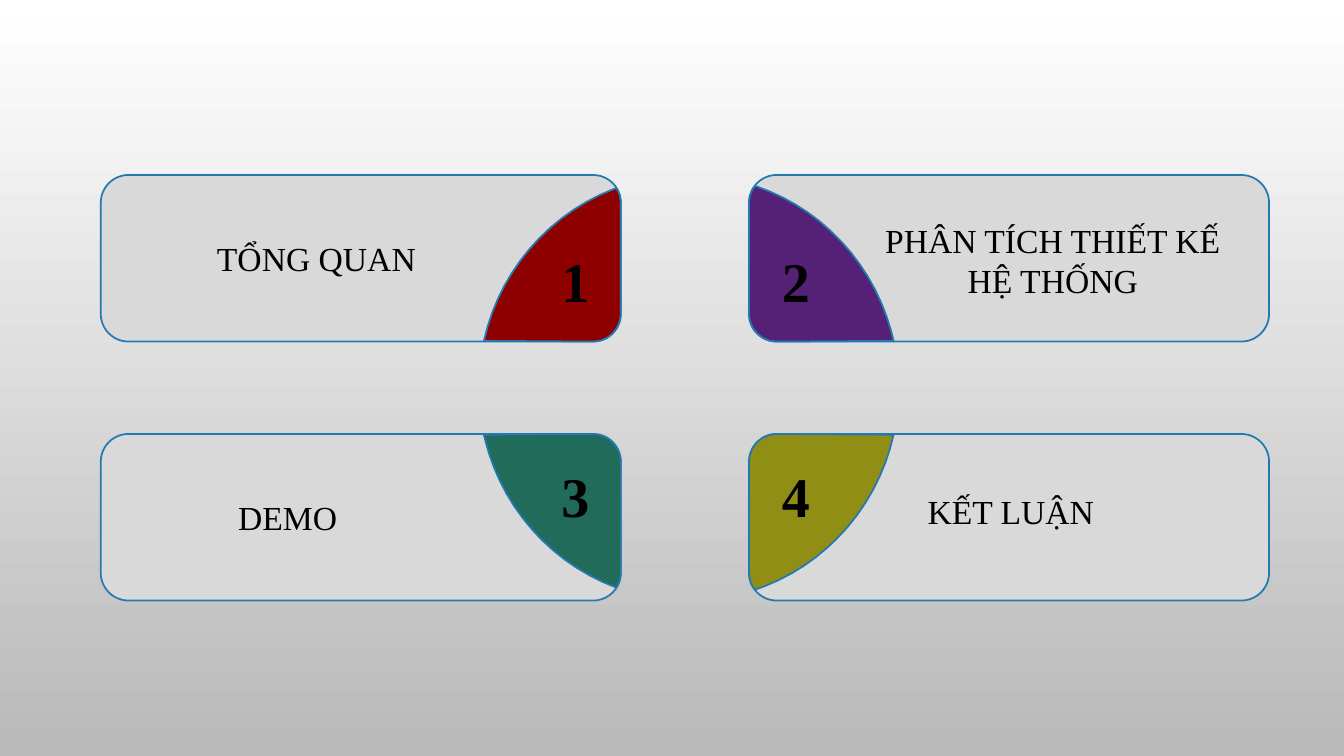
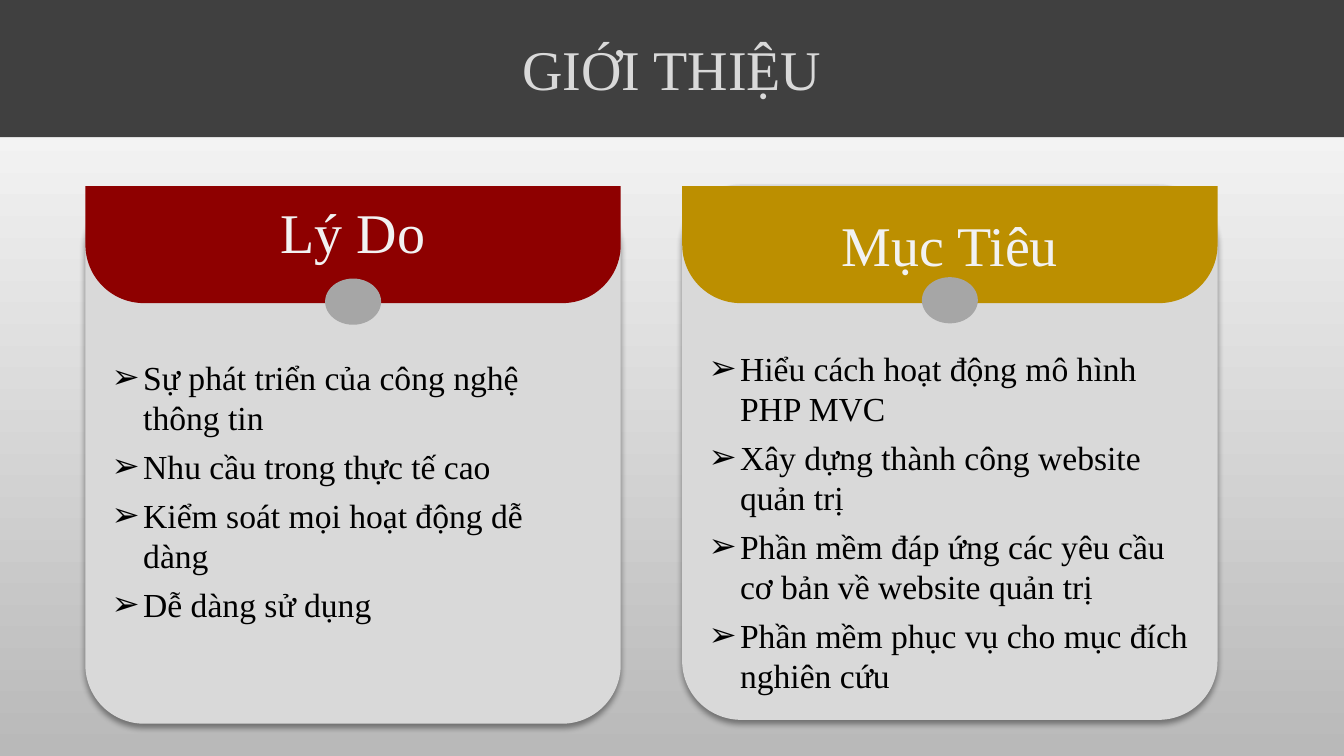
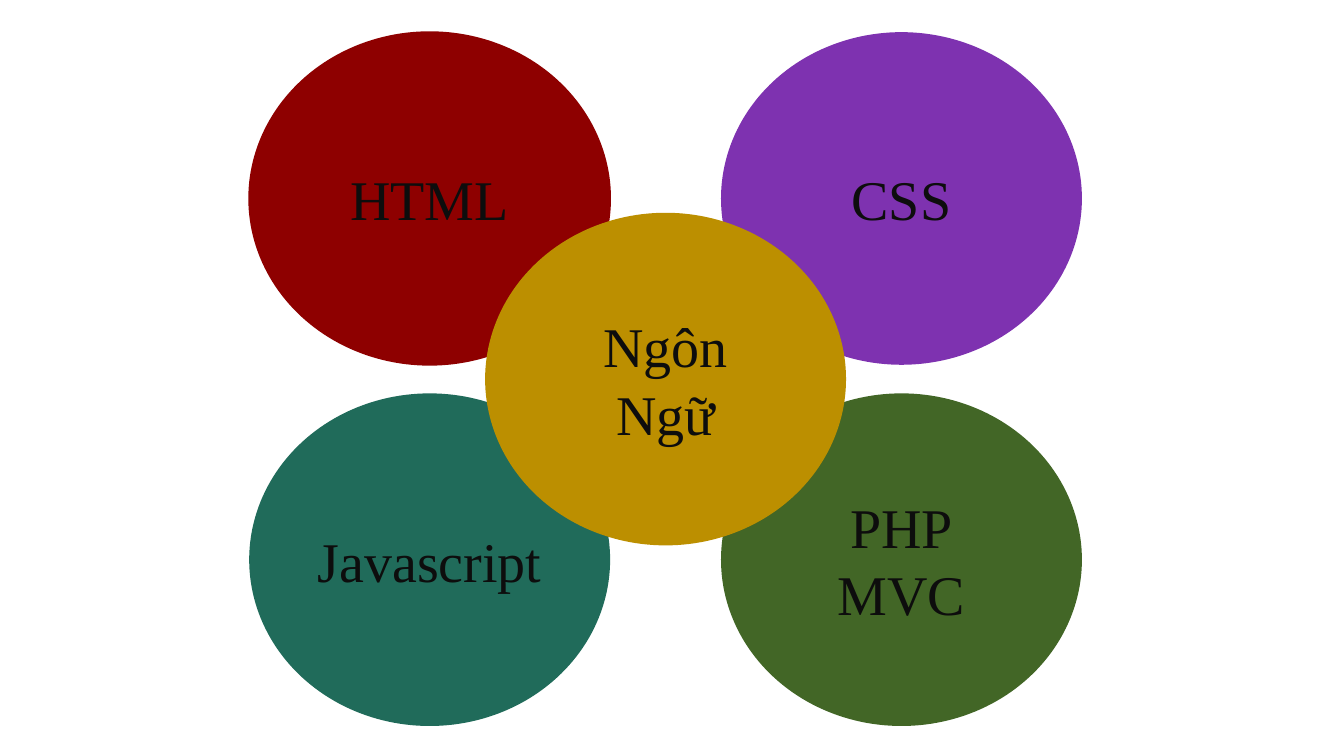
from collections.abc import Iterable
from dataclasses import dataclass
from math import atan2, cos, hypot, radians, sin

from lxml.etree import SubElement
from pptx import Presentation
from pptx.dml.color import RGBColor
from pptx.enum.shapes import MSO_SHAPE as Preset
from pptx.enum.text import MSO_ANCHOR as Anchor, MSO_AUTO_SIZE as AutoSize, PP_ALIGN as Align
from pptx.oxml.ns import qn
from pptx.presentation import Presentation as Deck
from pptx.shapes.base import BaseShape
from pptx.slide import Slide
from pptx.util import Pt


@dataclass(frozen=True)
class Theme:
    font: str = "Times New Roman"
    large: float = 40
    medium: float = 24
    outline_width: float = 1.25
    white: str = "FFFFFF"
    shade: str = "B9B9B9"
    black: str = "000000"
    ink: str = "0D0D0D"
    band: str = "404040"
    panel: str = "D9D9D9"
    heading: str = "F2F2F2"
    dot: str = "A6A6A6"
    outline: str = "2379B0"
    red: str = "8E0000"
    gold: str = "BC8F00"
    teal: str = "206B5A"
    olive: str = "918E16"
    indigo: str = "542176"
    violet: str = "7E32B0"
    green: str = "426626"


THEME = Theme()
WIDTH, HEIGHT = 960, 540


@dataclass(frozen=True)
class Box:
    left: float
    top: float
    width: float
    height: float

    @property
    def center_x(self) -> float:
        return self.left + self.width / 2

    @property
    def center_y(self) -> float:
        return self.top + self.height / 2


@dataclass(frozen=True)
class Topic:
    number: str
    lines: list[str]
    color: str
    column: int
    row: int
    text_center: float
    text_top: float


@dataclass(frozen=True)
class Panel:
    heading: str
    points: list[str]
    color: str
    left: float
    top: float
    heading_top: float
    dot_top: float
    list_top: float


@dataclass(frozen=True)
class Language:
    lines: list[str]
    color: str
    column: int
    row: int
    outline: str | None = None


TOPICS = [
    Topic("1", ["TỔNG QUAN"], THEME.red, 0, 0, 226, 166.3),
    Topic("2", ["PHÂN TÍCH THIẾT KẾ", "HỆ THỐNG"], THEME.indigo, 1, 0, 752, 153.4),
    Topic("3", ["DEMO"], THEME.teal, 0, 1, 205.5, 351.4),
    Topic("4", ["KẾT LUẬN"], THEME.olive, 1, 1, 722, 347),
]

PANELS = [
    Panel("Lý Do",
          ["Sự phát triển của công nghệ thông tin", "Nhu cầu trong thực tế cao",
           "Kiểm soát mọi hoạt động dễ dàng", "Dễ dàng sử dụng"],
          THEME.red, 61, 134.6, 137.5, 199, 251.3),
    Panel("Mục Tiêu",
          ["Hiểu cách hoạt động mô hình PHP MVC", "Xây dựng thành công website quản trị",
           "Phần mềm đáp ứng các yêu cầu cơ bản về website quản trị",
           "Phần mềm phục vụ cho mục đích nghiên cứu"],
          THEME.gold, 487.3, 131.8, 146.9, 198, 244.8),
]

# Columns and rows count half steps, so the central circle sits at (1, 1).
LANGUAGES = [
    Language(["HTML"], THEME.red, 0, 0, THEME.red),
    Language(["PHP", "MVC"], THEME.green, 2, 2),
    Language(["Javascript"], THEME.teal, 0, 2),
    Language(["CSS"], THEME.violet, 2, 0),
    Language(["Ngôn Ngữ"], THEME.gold, 1, 1),
]


def rgb(value: str) -> RGBColor:
    return RGBColor.from_string(value)


def paint(shape: BaseShape, fill: str, line: str | None = None) -> None:
    shape.shadow.inherit = False
    shape.fill.solid()
    shape.fill.fore_color.rgb = rgb(fill)
    if line:
        shape.line.color.rgb = rgb(line)
        shape.line.width = Pt(THEME.outline_width)
    else:
        shape.line.fill.background()


def draw(slide: Slide, preset: Preset, box: Box, fill: str, line: str | None = None,
         adjust: tuple[float, ...] = ()) -> BaseShape:
    shape = slide.shapes.add_shape(preset, Pt(box.left), Pt(box.top), Pt(box.width), Pt(box.height))
    for index, value in enumerate(adjust):
        shape.adjustments[index] = value
    paint(shape, fill, line)
    return shape


def place(shape: BaseShape, box: Box) -> None:
    """Move a placeholder and bring it in front of what is already drawn."""
    shape.left, shape.top = Pt(box.left), Pt(box.top)
    shape.width, shape.height = Pt(box.width), Pt(box.height)
    shape.element.getparent().append(shape.element)


def write(shape: BaseShape, lines: Iterable[str], *, size: float, color: str, bold: bool = False,
          align: Align = Align.CENTER, anchor: Anchor = Anchor.TOP, wrap: bool = True,
          gap: float = 0, bullet: str | None = None, indent: float = 22.5) -> None:
    frame = shape.text_frame
    frame.auto_size = AutoSize.NONE
    frame.word_wrap = wrap
    frame.vertical_anchor = anchor
    for index, line in enumerate(lines):
        paragraph = frame.add_paragraph() if index else frame.paragraphs[0]
        paragraph.alignment = align
        paragraph.space_before = paragraph.space_after = Pt(gap)
        run = paragraph.add_run()
        run.text = line
        run.font.name, run.font.size, run.font.bold = THEME.font, Pt(size), bold
        run.font.color.rgb = rgb(color)
        if bullet:
            properties = paragraph._p.get_or_add_pPr()
            properties.set("marL", str(Pt(indent)))
            properties.set("indent", str(-Pt(indent)))
            SubElement(properties, qn("a:buChar")).set("char", bullet)


def label(slide: Slide, lines: list[str], center: float, top: float, *, size: float,
          bold: bool = False) -> None:
    width, height = 40, 55
    text = slide.shapes.add_textbox(Pt(center - width / 2), Pt(top), Pt(width), Pt(height))
    write(text, lines, size=size, color=THEME.black, bold=bold, wrap=False)


def cast_shadow(shape: BaseShape) -> None:
    effects = shape.element.spPr.find(qn("a:effectLst"))
    shadow = SubElement(effects, qn("a:outerShdw"), blurRad=str(Pt(4)), dist=str(Pt(3)),
                        dir="5400000", algn="t", rotWithShape="0")
    color = SubElement(shadow, qn("a:srgbClr"), val=THEME.black)
    SubElement(color, qn("a:alpha"), val="40000")


def arc(x: float, y: float, radius_x: float, radius_y: float, step: float) -> list[tuple[float, float]]:
    angles = (radians(index * step) for index in range(int(360 / step)))
    return [(x + radius_x * cos(angle), y + radius_y * sin(angle)) for angle in angles]


def wedge_points(card: Box, hub: Box, corner: float) -> list[tuple[float, float]]:
    """Outline of the area shared by a rounded card and the hub ellipse."""
    core_x, core_y = card.width / 2 - corner, card.height / 2 - corner

    def in_card(x: float, y: float) -> bool:
        return hypot(max(abs(x - card.center_x) - core_x, 0),
                     max(abs(y - card.center_y) - core_y, 0)) <= corner + 0.01

    def in_hub(x: float, y: float) -> bool:
        return hypot((x - hub.center_x) / (hub.width / 2), (y - hub.center_y) / (hub.height / 2)) <= 1

    rim = [point for point in arc(hub.center_x, hub.center_y, hub.width / 2, hub.height / 2, 0.25)
           if in_card(*point)]
    corners = [point for side_x in (-1, 1) for side_y in (-1, 1)
               for point in arc(card.center_x + side_x * core_x, card.center_y + side_y * core_y,
                                corner, corner, 15)
               if in_hub(*point)
               and (point[0] - card.center_x) * side_x >= core_x - 0.01
               and (point[1] - card.center_y) * side_y >= core_y - 0.01]
    # The fine rim finds where the edges meet; few of its points are enough to draw it.
    points = rim[:-1:16] + rim[-1:] + corners
    middle_x = sum(x for x, _ in points) / len(points)
    middle_y = sum(y for _, y in points) / len(points)
    # The shared area is convex, so its outline follows the angle around its middle.
    return sorted(points, key=lambda point: atan2(point[1] - middle_y, point[0] - middle_x))


def build_agenda(deck: Deck) -> None:
    slide = deck.slides.add_slide(deck.slide_layouts[6])
    hub = Box(342, 125, 300, 304)
    for topic in TOPICS:
        card = Box(72 + 463 * topic.column, 125 + 185 * topic.row, 371.5, 119)
        corner = card.height / 6
        draw(slide, Preset.ROUNDED_RECTANGLE, card, THEME.panel, THEME.outline, (1 / 6,))
        first, *rest = [(Pt(x), Pt(y)) for x, y in wedge_points(card, hub, corner)]
        outline = slide.shapes.build_freeform(*first)
        outline.add_line_segments(rest, close=True)
        paint(outline.convert_to_shape(), topic.color, THEME.outline)
        label(slide, [topic.number], 411 + 157.5 * topic.column, 172.8 + 153.4 * topic.row,
              size=THEME.large, bold=True)
        label(slide, topic.lines, topic.text_center, topic.text_top, size=THEME.medium)


def build_introduction(deck: Deck) -> None:
    slide = deck.slides.add_slide(deck.slide_layouts[4])
    title, *bodies = slide.placeholders
    place(title, Box(0, 0, WIDTH, 98))
    paint(title, THEME.band)
    write(title, ["GIỚI THIỆU"], size=THEME.large, color=THEME.panel, anchor=Anchor.MIDDLE)
    side, dot_width = 382.4, 40
    for panel, heading, points in zip(PANELS, bodies[::2], bodies[1::2]):
        card = Box(panel.left, panel.top, side, side)
        cast_shadow(draw(slide, Preset.ROUNDED_RECTANGLE, card, THEME.panel, adjust=(0.11,)))
        header = draw(slide, Preset.ROUND_2_SAME_RECTANGLE, Box(panel.left, 133, side, 83.5),
                      panel.color, adjust=(0.5, 0))
        header.rotation = 180
        place(heading, Box(panel.left, panel.heading_top, side, 55))
        write(heading, [panel.heading], size=THEME.large, color=THEME.heading)
        draw(slide, Preset.OVAL, Box(card.center_x - dot_width / 2, panel.dot_top, dot_width, 33),
             THEME.dot)
        place(points, Box(panel.left + 11.6, panel.list_top, 359.3, 258))
        write(points, panel.points, size=THEME.medium, color=THEME.black, align=Align.LEFT,
              gap=3, bullet="➢")


def build_languages(deck: Deck) -> None:
    slide = deck.slides.add_slide(deck.slide_layouts[6])
    slide.background.fill.solid()
    slide.background.fill.fore_color.rgb = rgb(THEME.white)
    for language in LANGUAGES:
        circle = Box(178 + 168.5 * language.column, 23 + 129 * language.row, 257.8, 237.6)
        shape = draw(slide, Preset.OVAL, circle, language.color, language.outline)
        write(shape, language.lines, size=THEME.large, color=THEME.ink, anchor=Anchor.MIDDLE)


def main() -> None:
    deck = Presentation()
    deck.slide_width, deck.slide_height = Pt(WIDTH), Pt(HEIGHT)
    backdrop = deck.slide_master.background.fill
    backdrop.gradient()
    backdrop.gradient_angle = 270
    for stop, color in zip(backdrop.gradient_stops, (THEME.white, THEME.shade)):
        stop.color.rgb = rgb(color)
    build_agenda(deck)
    build_introduction(deck)
    build_languages(deck)
    deck.save("out.pptx")


if __name__ == "__main__":
    main()
